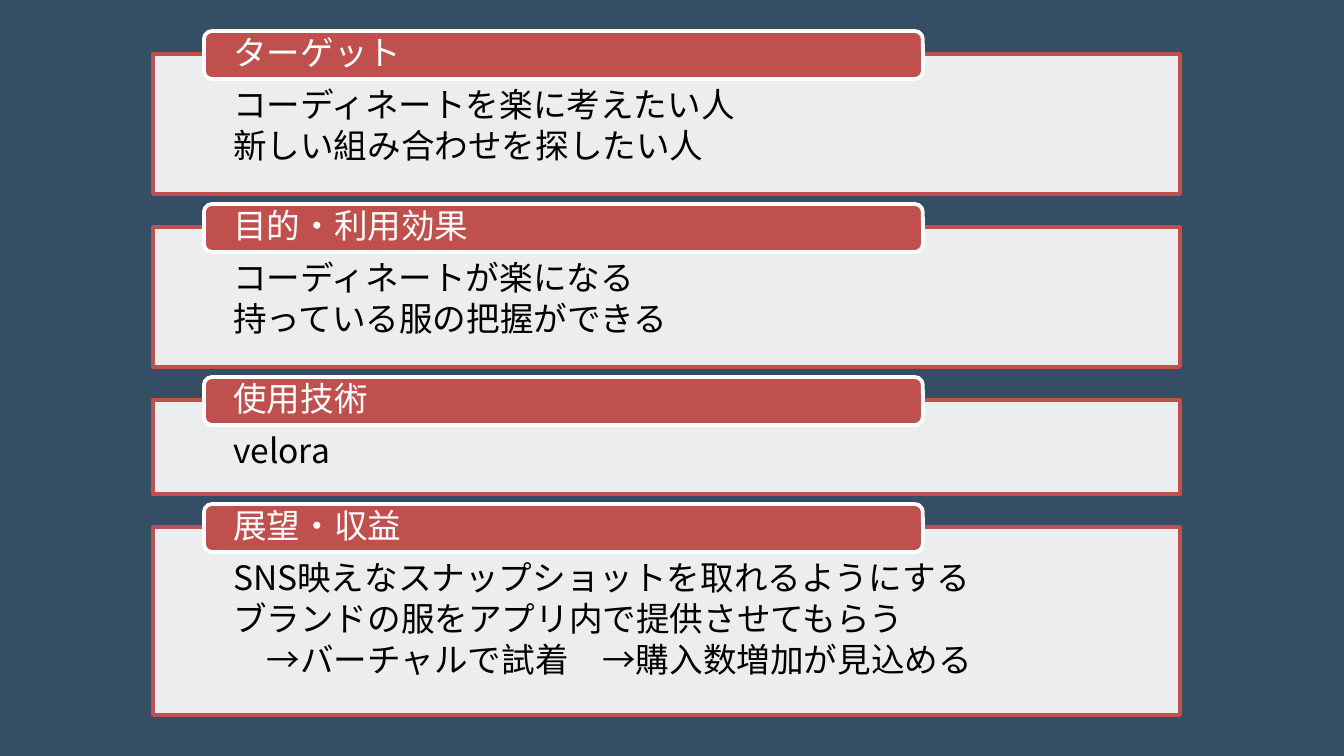
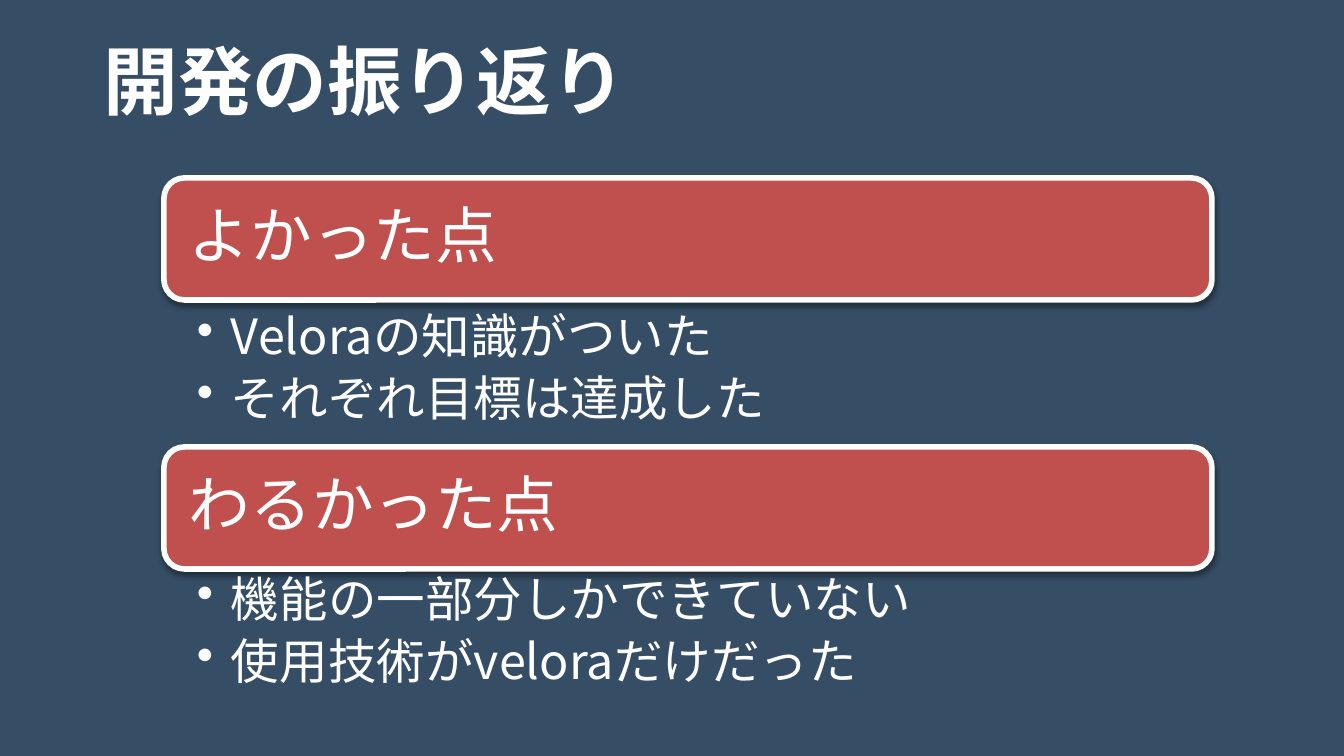
from lxml.etree import SubElement
from pptx import Presentation
from pptx.dml.color import RGBColor
from pptx.enum.shapes import MSO_SHAPE
from pptx.enum.text import MSO_ANCHOR, MSO_AUTO_SIZE, PP_ALIGN
from pptx.oxml import parse_xml
from pptx.oxml.ns import nsdecls, qn
from pptx.util import Pt

EMU_PER_PX = 914400 / 134.4
FONT = "Noto Sans CJK JP"
NAVY = RGBColor(0x35, 0x4E, 0x65)
RED = RGBColor(0xC0, 0x50, 0x4D)
WHITE = RGBColor(0xFF, 0xFF, 0xFF)
BLACK = RGBColor(0x00, 0x00, 0x00)

PANEL_LEFT, PANEL_WIDTH, PANEL_GAP = 153, 1027, 33
BANNER_LEFT, BANNER_WIDTH, BANNER_HEIGHT, BANNER_RISE = 204, 719, 48, 23
REVIEW_LEFT, REVIEW_WIDTH, HEADING_HEIGHT, POINTS_HEIGHT = 164, 1048, 122, 141

SECTIONS = [
    ("ターゲット", 140, ["コーディネートを楽に考えたい人", "新しい組み合わせを探したい人"]),
    ("目的・利用効果", 140, ["コーディネートが楽になる", "持っている服の把握ができる"]),
    ("使用技術", 94, ["velora"]),
    ("展望・収益", 188, [
        "SNS映えなスナップショットを取れるようにする",
        "ブランドの服をアプリ内で提供させてもらう",
        "　→バーチャルで試着　→購入数増加が見込める",
    ]),
]
REVIEWS = [
    ("よかった点", 178, 306, ["Veloraの知識がついた", "それぞれ目標は達成した"]),
    ("わるかった点", 447, 569, ["機能の一部分しかできていない", "使用技術がveloraだけだった"]),
]


def px(length):
    return round(length * EMU_PER_PX)


def box(left, top, width, height):
    return px(left), px(top), px(width), px(height)


def add_slide(deck):
    slide = deck.slides.add_slide(deck.slide_layouts[6])
    slide.background.fill.solid()
    slide.background.fill.fore_color.rgb = NAVY
    return slide


def write(frame, lines, size, color, insets, anchor=MSO_ANCHOR.TOP,
          after=0.0, spacing=0.9, bold=False, bullet_indent=0):
    frame.word_wrap = True
    frame.vertical_anchor = anchor
    frame.margin_left, frame.margin_top, frame.margin_right, frame.margin_bottom = map(px, insets)
    for index, line in enumerate(lines):
        paragraph = frame.paragraphs[0] if index == 0 else frame.add_paragraph()
        paragraph.text = line
        paragraph.alignment = PP_ALIGN.LEFT
        paragraph.line_spacing = spacing
        paragraph.space_after = Pt(round(size * after, 1))
        font = paragraph.font
        font.name, font.size, font.bold = FONT, Pt(size), bold
        font.color.rgb = color
        properties = paragraph._p.get_or_add_pPr()
        defaults = properties.find(qn("a:defRPr"))
        SubElement(defaults, qn("a:ea"), typeface=FONT)
        if bullet_indent:
            properties.set("marL", str(px(bullet_indent)))
            properties.set("indent", str(-px(bullet_indent)))
            defaults.addprevious(parse_xml(f'<a:buChar {nsdecls("a")} char="•"/>'))


def add_block(slide, kind, bounds, fill, line, line_width):
    block = slide.shapes.add_shape(kind, *box(*bounds))
    block.shadow.inherit = False
    block.fill.solid()
    block.fill.fore_color.rgb = fill
    block.line.color.rgb = line
    block.line.width = Pt(line_width)
    return block


def set_opacity(block, percent):
    color = block._element.spPr.find(qn("a:solidFill")).find(qn("a:srgbClr"))
    SubElement(color, qn("a:alpha"), val=str(percent * 1000))


def cast_shadow(block):
    effects = block._element.spPr.find(qn("a:effectLst"))
    shadow = SubElement(effects, qn("a:outerShdw"), blurRad="40000", dist="20000",
                        dir="5400000", rotWithShape="0")
    color = SubElement(shadow, qn("a:srgbClr"), val="000000")
    SubElement(color, qn("a:alpha"), val="38000")


def add_section(slide, heading, top, height, lines):
    panel = add_block(slide, MSO_SHAPE.RECTANGLE,
                      (PANEL_LEFT, top, PANEL_WIDTH, height), WHITE, RED, 2)
    set_opacity(panel, 90)
    write(panel.text_frame, lines, 18, BLACK, (80, 34, 80, 19), after=0.15)
    banner = add_block(slide, MSO_SHAPE.ROUNDED_RECTANGLE,
                       (BANNER_LEFT, top - BANNER_RISE, BANNER_WIDTH, BANNER_HEIGHT), RED, WHITE, 2)
    write(banner.text_frame, [heading], 18, WHITE, (27, 0, 27, 0), MSO_ANCHOR.MIDDLE)


def add_title(slide, title):
    heading = slide.shapes.add_textbox(*box(16, 28, 1210, 103))
    write(heading.text_frame, [title], 40, WHITE, (13, 7, 13, 7),
          MSO_ANCHOR.MIDDLE, spacing=1.0, bold=True)
    heading.text_frame.auto_size = MSO_AUTO_SIZE.SHAPE_TO_FIT_TEXT


def add_review(slide, heading, heading_top, points_top, points):
    bar = add_block(slide, MSO_SHAPE.ROUNDED_RECTANGLE,
                    (REVIEW_LEFT, heading_top, REVIEW_WIDTH, HEADING_HEIGHT), RED, WHITE, 3)
    cast_shadow(bar)
    write(bar.text_frame, [heading], 33, WHITE, (19, 19, 19, 19), MSO_ANCHOR.MIDDLE)
    details = slide.shapes.add_textbox(*box(REVIEW_LEFT, points_top, REVIEW_WIDTH, POINTS_HEIGHT))
    write(details.text_frame, points, 26, WHITE, (33, 7, 35, 7), after=0.2, bullet_indent=34)


def main():
    deck = Presentation()
    deck.slide_width, deck.slide_height = px(1344), px(756)

    overview = add_slide(deck)
    top = 54
    for heading, height, lines in SECTIONS:
        add_section(overview, heading, top, height, lines)
        top += height + PANEL_GAP

    retrospective = add_slide(deck)
    add_title(retrospective, "　開発の振り返り")
    for review in REVIEWS:
        add_review(retrospective, *review)

    deck.save("out.pptx")


if __name__ == "__main__":
    main()
